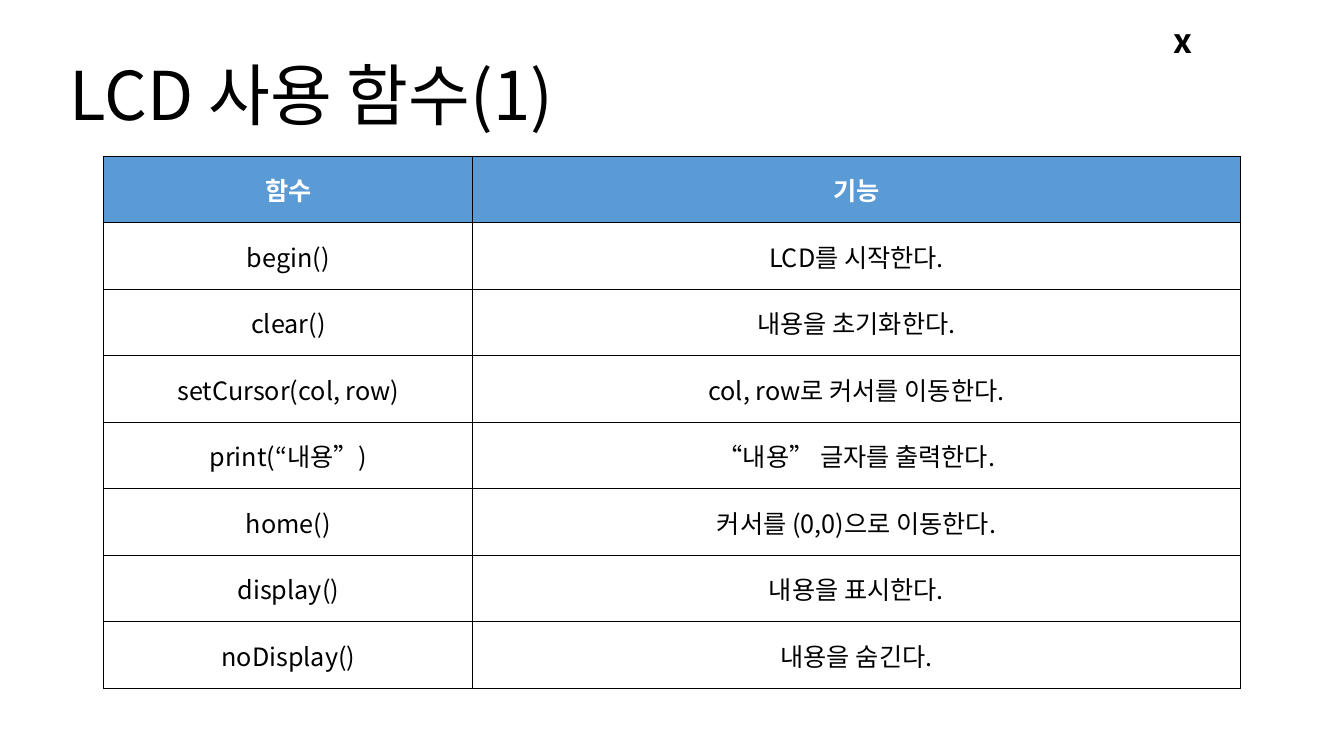
from lxml.etree import SubElement
from pptx import Presentation
from pptx.dml.color import RGBColor
from pptx.enum.text import MSO_ANCHOR as ANCHOR, MSO_AUTO_SIZE as FIT, PP_ALIGN as ALIGN
from pptx.oxml.ns import qn
from pptx.util import Inches, Pt

FONT = "Noto Sans CJK KR"
BLACK, WHITE, BLUE = "000000", "FFFFFF", "5B9BD5"
ROWS = [
    ("함수", "기능"),
    ("begin()", "LCD를 시작한다."),
    ("clear()", "내용을 초기화한다."),
    ("setCursor(col, row)", "col, row로 커서를 이동한다."),
    ("print(“내용”)", "“내용” 글자를 출력한다."),
    ("home()", "커서를 (0,0)으로 이동한다."),
    ("display()", "내용을 표시한다."),
    ("noDisplay()", "내용을 숨긴다."),
]
COL_WIDTHS = [3.66, 7.61]
ROW_HEIGHT = 0.66


def write(tf, text, size, color=BLACK, bold=False, align=ALIGN.LEFT, spacing=None):
    p = tf.paragraphs[0]
    p.alignment = align
    p.line_spacing = spacing
    r = p.add_run()
    r.text = text
    r.font.size, r.font.bold, r.font.name = Pt(size), bold, FONT
    r.font.color.rgb = RGBColor.from_string(color)
    SubElement(r.font._element, qn("a:ea"), typeface=FONT)


def add_border(cell, color, width):
    tcPr = cell._tc.get_or_add_tcPr()
    for side in ("lnL", "lnR", "lnT", "lnB"):
        ln = SubElement(tcPr, qn(f"a:{side}"), w=str(Pt(width)))
        SubElement(SubElement(ln, qn("a:solidFill")), qn("a:srgbClr"), val=color)


prs = Presentation()
prs.slide_width, prs.slide_height = Inches(13.33), Inches(7.5)
s = prs.slides.add_slide(prs.slide_layouts[5])

title = s.shapes.title
title.left, title.top = Inches(0.59), Inches(0.25)
title.width, title.height = Inches(11.5), Inches(1.45)
title.text_frame.auto_size = FIT.NONE
title.text_frame.vertical_anchor = ANCHOR.MIDDLE
write(title.text_frame, "LCD 사용 함수(1)", 48, spacing=0.9)

mark = s.shapes.add_textbox(Inches(11.54), Inches(0.24), Inches(0.32), Inches(0.35))
tf = mark.text_frame
tf.word_wrap = True
tf.margin_top = tf.margin_bottom = tf.margin_right = 0
write(tf, "x", 24, bold=True, spacing=0.9)

table = s.shapes.add_table(
    len(ROWS), len(COL_WIDTHS), Inches(1.03), Inches(1.55),
    Inches(sum(COL_WIDTHS)), Inches(ROW_HEIGHT * len(ROWS))).table
for col, width in zip(table.columns, COL_WIDTHS):
    col.width = Inches(width)
for i, texts in enumerate(ROWS):
    table.rows[i].height = Inches(ROW_HEIGHT)
    header = i == 0
    for j, text in enumerate(texts):
        cell = table.cell(i, j)
        add_border(cell, BLACK, 1)
        cell.fill.solid()
        cell.fill.fore_color.rgb = RGBColor.from_string(BLUE if header else WHITE)
        cell.vertical_anchor = ANCHOR.MIDDLE
        write(cell.text_frame, text, 18, WHITE if header else BLACK,
              bold=header, align=ALIGN.CENTER)

prs.save("out.pptx")
